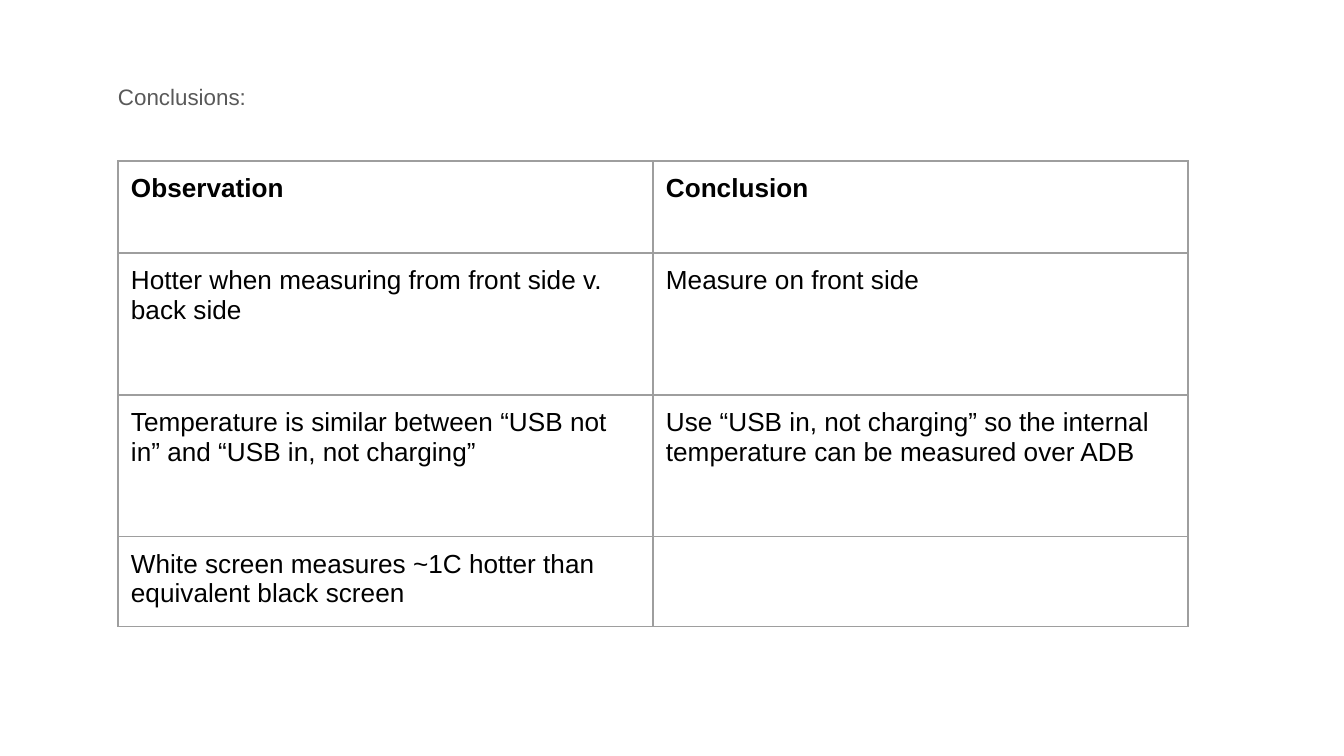
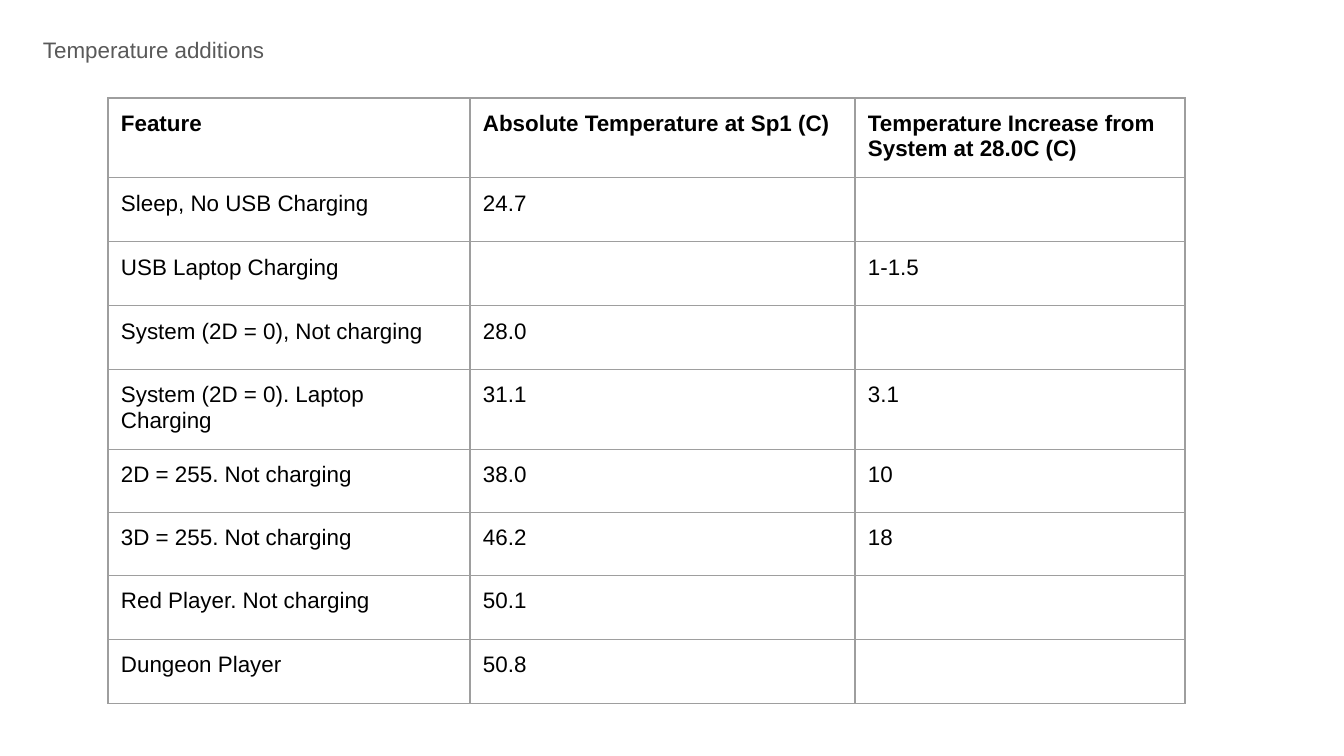
from lxml.etree import SubElement as Sub
from pptx import Presentation as Deck
from pptx.dml.color import RGBColor as Rgb
from pptx.oxml.ns import qn
from pptx.util import Pt

UNIT = 914400 / 134.4
WIDE, HIGH = 1344, 756
INSET = 13
GREY, BLACK, RULE = "595959", "000000", "9E9E9E"
FACE = "Arial"
SIDES = ("margin_left", "margin_right", "margin_top", "margin_bottom")

FINDINGS = [
    ("Observation", "Conclusion"),
    ("Hotter when measuring from front side v. back side", "Measure on front side"),
    ("Temperature is similar between “USB not in” and “USB in, not charging”",
     "Use “USB in, not charging” so the internal temperature can be measured over ADB"),
    ("White screen measures ~1C hotter than equivalent black screen", ""),
]
READINGS = [
    ("Feature", "Absolute Temperature at Sp1 (C)",
     "Temperature Increase from System at 28.0C (C)"),
    ("Sleep, No USB Charging", "24.7", ""),
    ("USB Laptop Charging", "", "1-1.5"),
    ("System (2D = 0), Not charging", "28.0", ""),
    ("System (2D = 0). Laptop Charging", "31.1", "3.1"),
    ("2D = 255. Not charging", "38.0", "10"),
    ("3D = 255. Not charging", "46.2", "18"),
    ("Red Player. Not charging", "50.1", ""),
    ("Dungeon Player", "50.8", ""),
]


def px(count):
    return round(count * UNIT)


def tint(code):
    return Rgb.from_string(code)


def assign(item, values):
    for name, value in values.items():
        setattr(item, name, value)


def write(para, text, size, color, bold=False):
    run = para.add_run()
    run.text = text
    assign(run.font, {"name": FACE, "size": Pt(size), "bold": bold})
    run.font.color.rgb = tint(color)


def add_title(slide, text, left, top):
    frame = slide.shapes.add_textbox(px(left), px(top), px(761), px(263)).text_frame
    assign(frame, {"word_wrap": True, **dict.fromkeys(SIDES, px(INSET))})
    para = frame.paragraphs[0]
    assign(para, {"line_spacing": 1.15, "space_after": Pt(16)})
    write(para, text, 12, GREY)


def add_edges(cell):
    props = cell._tc.get_or_add_tcPr()
    for side in ("lnL", "lnR", "lnT", "lnB"):
        line = Sub(props, qn(f"a:{side}"), w=str(Pt(0.75)))
        Sub(Sub(line, qn("a:solidFill")), qn("a:srgbClr"), val=RULE)


def add_grid(slide, data, left, top, widths, heights, size):
    table = slide.shapes.add_table(
        len(data), len(widths), px(left), px(top),
        px(sum(widths)), px(sum(heights))).table
    assign(table, {"first_row": False, "horz_banding": False})
    for column, width in zip(table.columns, widths):
        column.width = px(width)
    for row, height in zip(table.rows, heights):
        row.height = px(height)
    for i, texts in enumerate(data):
        for j, text in enumerate(texts):
            cell = table.cell(i, j)
            add_edges(cell)
            cell.fill.background()
            if text:
                assign(cell, dict.fromkeys(SIDES, px(INSET)))
                write(cell.text_frame.paragraphs[0], text, size, BLACK, i == 0)


def main():
    deck = Deck()
    assign(deck, {"slide_width": px(WIDE), "slide_height": px(HIGH)})
    blank = deck.slide_layouts[6]

    slide = deck.slides.add_slide(blank)
    add_title(slide, "Conclusions:", 105, 66)
    add_grid(slide, FINDINGS, 118, 161, [535] * 2, [92, 142, 142, 90], 14)

    slide = deck.slides.add_slide(blank)
    add_title(slide, "Temperature additions", 30, 19)
    add_grid(slide, READINGS, 108, 98, [362, 385, 330],
             [77, 64, 64, 64, 77, 63, 63, 64, 64], 12)

    deck.save("out.pptx")


if __name__ == "__main__":
    main()
